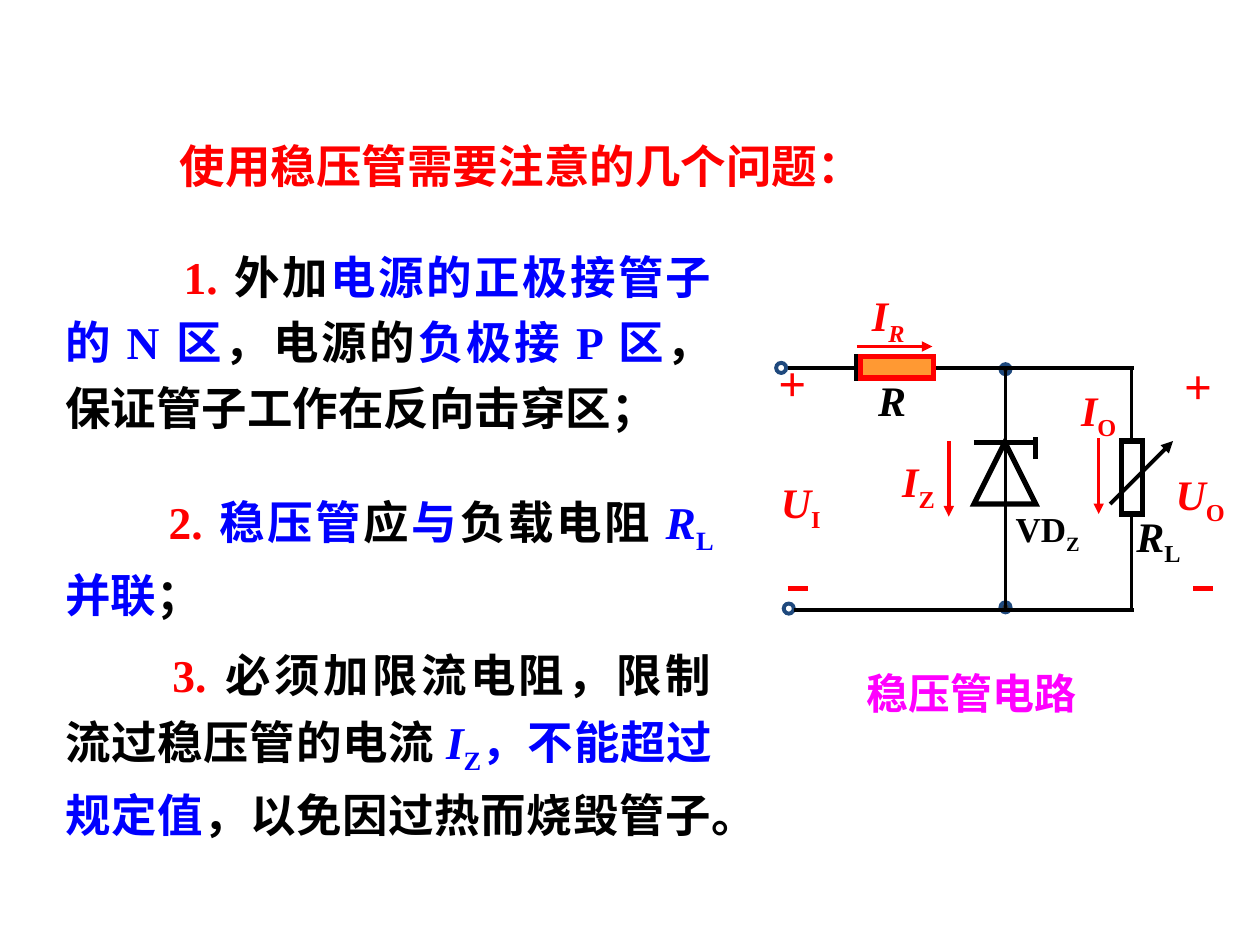
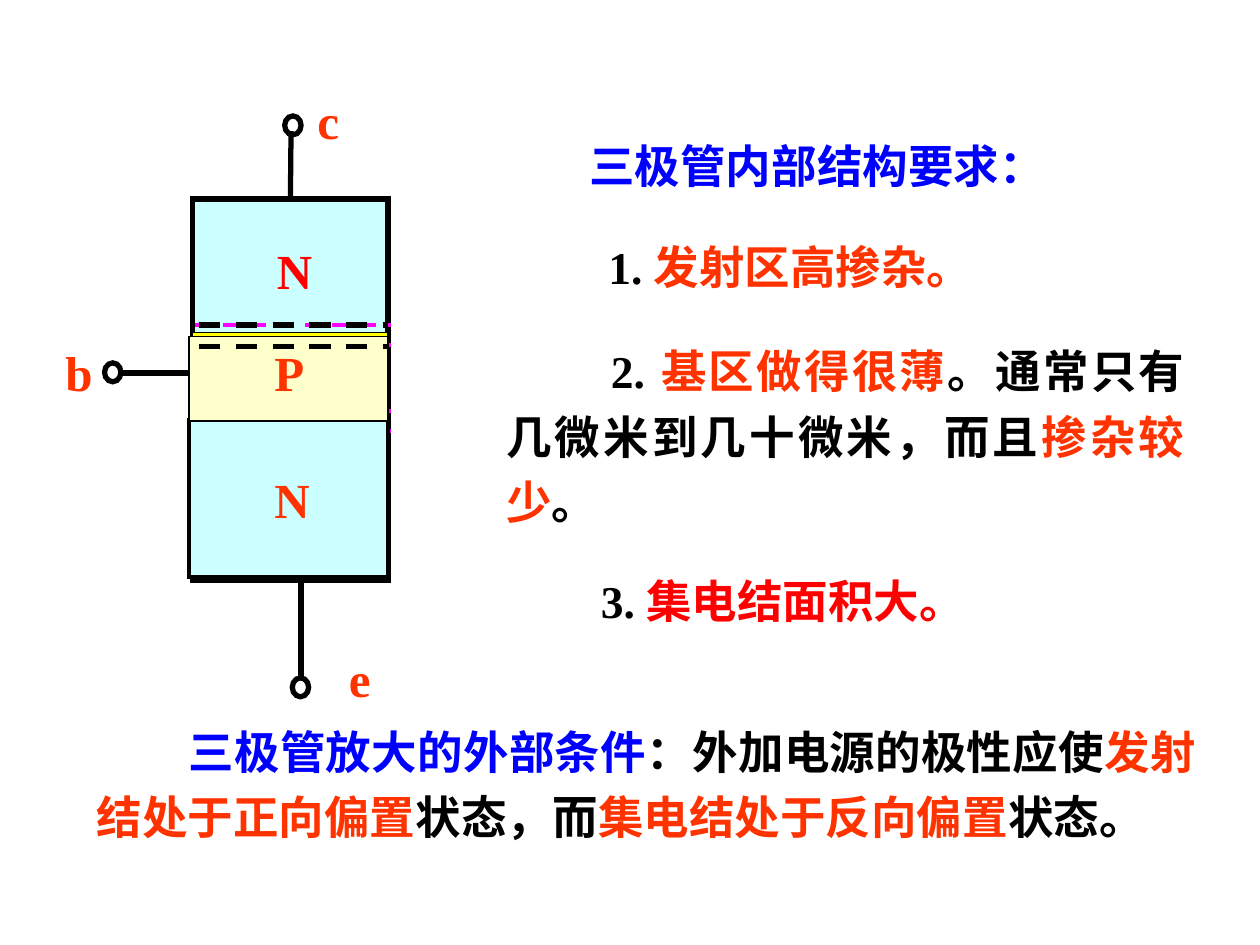
import pptx
import pptx.dml.color
import pptx.enum.dml
import pptx.enum.lang
import pptx.enum.shapes
import pptx.enum.text
import pptx.oxml
import pptx.oxml.ns
import pptx.util
from dataclasses import dataclass

Inches, Pt = pptx.util.Inches, pptx.util.Pt
Align = pptx.enum.text.PP_ALIGN
Shape = pptx.enum.shapes.MSO_SHAPE


@dataclass(frozen=True)
class Theme:
    font: str = "Times New Roman"
    black: str = "000000"
    white: str = "FFFFFF"
    red: str = "FF0000"
    vermilion: str = "FF3300"
    blue: str = "0000FF"
    magenta: str = "FF00FF"
    navy: str = "1F497D"
    charcoal: str = "333333"
    orange: str = "FF9933"
    cyan: str = "CCFFFF"
    yellow: str = "FFFF00"
    cream: str = "FFFFCC"
    body: int = 26
    label: int = 24
    sign: int = 28
    small: int = 20


T = Theme()

# Passages: place, first-line indent, line spacing, runs (text, colour, marks)
# Marks: i italic, s subscript
REGULATOR_TEXT = [
    ((1.33, 1.05, 6.83, 0.54), 0, 1, [("使用稳压管需要注意的几个问题：", T.red)]),
    ((0.42, 1.84, 5.33, 1.66), 0.94, 1.2, [
        ("1. ", T.red), ("外加", T.black), ("电源的正极接管子的 N 区", T.blue),
        ("，电源的", T.black), ("负极接 P 区", T.blue),
        ("，保证管子工作在反向击穿区；", T.black)]),
    ((0.42, 3.77, 5.33, 1.21), 0.82, 1.2, [
        ("2. ", T.red), ("稳压管", T.blue), ("应", T.black), ("与", T.blue),
        ("负载电阻 ", T.black), ("R", T.blue, "i"), ("L ", T.blue, "s"),
        ("并联", T.blue), ("；", T.black)]),
    ((0.42, 5, 5.33, 2.25), 0.85, 1.2, [
        ("3. ", T.red), ("必须加限流电阻，限制流过稳压管的电流 ", T.black),
        ("I", T.blue, "i"), ("Z", T.blue, "s"), ("，不能超过规定值", T.blue),
        ("，以免因过热而烧毁管子。", T.black)]),
]
TRANSISTOR_TEXT = [
    ((4.58, 1.05, 4.25, 0.54), 0, 1, [("三极管内部结构要求：", T.blue)]),
    ((3.92, 1.85, 5.5, 0.54), 0.81, 1,
     [("1. ", T.black), ("发射区高掺杂。", T.vermilion)]),
    ((3.92, 2.59, 5.58, 1.66), 0.83, 1.2, [
        ("2. ", T.black), ("基区做得很薄", T.vermilion),
        ("。通常只有几微米到几十微米，而且", T.black),
        ("掺杂较少", T.vermilion), ("。", T.black)]),
    ((4.67, 4.5, 3.5, 0.54), 0, 1, [("3. ", T.black), ("集电结面积大。", T.red)]),
    ((0.67, 5.61, 8.92, 1.14), 0.73, 1.2, [
        ("三极管放大的外部条件", T.blue), ("：外加电源的极性应使", T.black),
        ("发射结处于正向偏置", T.vermilion), ("状态，而", T.black),
        ("集电结处于反向偏置", T.vermilion), ("状态。", T.black)]),
]

# Regulator circuit
TOP_RAIL, BOTTOM_RAIL, DIODE_X, LOAD_X = 2.92, 4.84, 7.98, 8.98
DOT = 0.08
TERMINALS = [(6.16, 2.88), (6.22, 4.79)]
NODES = [(7.94, 2.89), (7.94, 4.78)]
WIRES = [  # from, to, width
    ((6.25, TOP_RAIL), (8, TOP_RAIL), 2),
    ((6.3, BOTTOM_RAIL), (8, BOTTOM_RAIL), 2),
    ((DIODE_X, TOP_RAIL), (DIODE_X, BOTTOM_RAIL), 2),
    ((LOAD_X, TOP_RAIL), (LOAD_X, BOTTOM_RAIL), 2),
    ((7.91, TOP_RAIL), (9, TOP_RAIL), 2.25),
    ((7.91, BOTTOM_RAIL), (9, BOTTOM_RAIL), 2.25),
    ((7.73, 3.51), (8.22, 3.51), 3),
    ((8.22, 3.64), (8.22, 3.47), 3),
]
COMPONENTS = [  # preset, place, fill, line
    (Shape.ISOSCELES_TRIANGLE, (7.73, 3.51, 0.49, 0.49), None, T.black),
    (Shape.RECTANGLE, (6.8, 2.83, 0.58, 0.17), T.white, T.black),
    (Shape.RECTANGLE, (6.83, 2.83, 0.58, 0.17), T.orange, T.red),
    (Shape.RECTANGLE, (8.9, 3.5, 0.17, 0.58), T.white, T.black),
]
CURRENT_ARROWS = [((6.8, 2.75), (7.4, 2.75)), ((7.53, 3.5), (7.53, 4.1)),
                  ((8.72, 3.48), (8.72, 4.08))]
MINUS_SIGNS = [(6.25, 4.67), (9.47, 4.67)]
PLUS_SIGNS = [(6.08, 2.75), (9.3, 2.77)]
SYMBOLS = [  # place, letter, subscript, colour, letter marks, subscript marks, size
    ((7.96, 3.98, 0.71, 0.48), "VD", "Z", T.black, "", "s", T.small),
    ((6.87, 2.92, 0.42, 0.5), "R", "", T.black, "i", "s", T.label),
    ((8.92, 4, 0.55, 0.56), "R", "L", T.black, "i", "s", T.label),
    ((9.23, 3.67, 0.59, 0.56), "U", "O", T.red, "i", "s", T.label),
    ((8.48, 3, 0.48, 0.56), "I", "O", T.red, "i", "s", T.label),
    ((7.06, 3.57, 0.46, 0.56), "I", "Z", T.red, "i", "s", T.label),
    ((6.82, 2.25, 0.46, 0.56), "I", "R", T.red, "i", "is", T.label),
    ((6.1, 3.73, 0.51, 0.56), "U", "I", T.red, "i", "s", T.label),
]
CAPTION = ((5.92, 5.25, 3.58, 0.5), "稳压管电路")

# Transistor structure
BODY = (1.53, 1.58, 1.55, 3.03)
LAYERS = [  # place, fill, line width
    ((1.53, 2.64, 1.55, 0.68), T.yellow, 0.75),
    ((1.5, 3.33, 1.58, 1.25), T.cyan, 2.25),
    ((1.5, 2.67, 1.58, 0.67), T.cream, 0.75),
]
COLLECTOR_LEAD = ((2.31, 1.04), (2.31, 1.58))
OTHER_LEADS = [((2.39, 4.62), (2.39, 5.38)), ((1.55, 2.96), (0.96, 2.96))]
PINS = [(0.83, 2.88), (2.26, 0.92), (2.32, 5.38)]
JUNCTIONS = [2.66, 3.34]
HALO = 0.08  # depletion edge on each side of a junction
BASE_DASHES = [2.58, 2.75]
REGION_LABELS = [
    ((2.1, 1.86), "N", T.red), ((2.08, 3.68), "N", T.vermilion),
    ((2.08, 2.67), "P", T.vermilion), ((2.67, 5.1), "e", T.vermilion),
    ((0.42, 2.67), "b", T.vermilion), ((2.42, 0.67), "c", T.vermilion),
]


def rgb(colour):
    return pptx.dml.color.RGBColor.from_string(colour)


def drawing_element(tag, attributes=""):
    return pptx.oxml.parse_xml(
        f'<a:{tag} {pptx.oxml.ns.nsdecls("a")} {attributes}/>')


def add_text(page, place, spans, size, align=Align.LEFT, indent=0, spacing=1, wrap=True):
    box = page.shapes.add_textbox(*map(Inches, place))
    frame = box.text_frame
    frame.word_wrap = wrap
    if not wrap:  # symbols use the full box width, so a subscript stays on its line
        frame.margin_left = frame.margin_right = 0
    para = frame.paragraphs[0]
    para.alignment = align
    para.line_spacing = spacing
    if indent:
        para._p.get_or_add_pPr().set("indent", str(Inches(indent)))
    for text, colour, *marks in spans:
        marks = "".join(marks)
        span = para.add_run()
        span.text = text
        formats = {"name": T.font, "size": Pt(size), "bold": True, "italic": "i" in marks,
                   "language_id": pptx.enum.lang.MSO_LANGUAGE_ID.SIMPLIFIED_CHINESE}
        for name, value in formats.items():
            setattr(span.font, name, value)
        span.font.color.rgb = rgb(colour)
        if "s" in marks:
            span._r.get_or_add_rPr().set("baseline", "-25000")


def add_shape(page, preset, place, fill, line, width):
    shape = page.shapes.add_shape(preset, *map(Inches, place))
    shape.shadow.inherit = False
    if fill:
        shape.fill.solid()
        shape.fill.fore_color.rgb = rgb(fill)
    else:
        shape.fill.background()
    shape.line.color.rgb = rgb(line)
    shape.line.width = Pt(width)
    shape.line._get_or_add_ln().append(drawing_element("miter", 'lim="800000"'))
    return shape


def add_line(page, start, end, colour, width, dashed=False, arrow=False):
    line = page.shapes.add_connector(
        pptx.enum.shapes.MSO_CONNECTOR.STRAIGHT, *map(Inches, start + end))
    line.line.color.rgb = rgb(colour)
    line.line.width = Pt(width)
    if dashed:
        line.line.dash_style = pptx.enum.dml.MSO_LINE.DASH
    if arrow:
        line.line._get_or_add_ln().append(drawing_element("tailEnd", 'type="triangle"'))
    line._element.spPr.append(drawing_element("effectLst"))
    return line


def add_passages(page, passages):
    for place, indent, spacing, spans in passages:
        add_text(page, place, spans, T.body, Align.JUSTIFY, indent, spacing)


def build_regulator(page):
    # Terminals, nodes and wires
    for dots, fill in ((TERMINALS, None), (NODES, T.charcoal)):
        for left, top in dots:
            add_shape(page, Shape.OVAL, (left, top, DOT, DOT), fill, T.navy, 2.25)
    for start, end, width in WIRES:
        add_line(page, start, end, T.black, width)
    # Diode, resistor and variable load
    for preset, place, fill, line in COMPONENTS:
        add_shape(page, preset, place, fill, line, 3)
    add_line(page, (8.81, 4), (9.31, 3.5), T.black, 2.25, arrow=True)
    # Currents and polarity
    for start, end in CURRENT_ARROWS:
        add_line(page, start, end, T.red, 2, arrow=True)
    for left, top in MINUS_SIGNS:
        add_line(page, (left, top), (left + 0.16, top), T.red, 3)
    for left, top in PLUS_SIGNS:
        add_text(page, (left, top, 0.42, 0.57), [("+", T.red)], T.sign)
    # Symbols and caption
    for place, letter, sub, colour, marks, sub_marks, size in SYMBOLS:
        spans = [(letter, colour, marks)]
        if sub:
            spans.append((sub, colour, sub_marks))
        add_text(page, place, spans, size, Align.CENTER, wrap=False)
    place, caption = CAPTION
    add_text(page, place, [(caption, T.magenta)], T.label, Align.CENTER)
    add_passages(page, REGULATOR_TEXT)


def build_transistor(page):
    # Body, junctions and leads
    body = add_shape(page, Shape.RECTANGLE, BODY, T.cyan, T.black, 3)
    for y in JUNCTIONS:
        add_line(page, (1.55, y), (3.1, y), T.black, 2.25)
        for edge in (y - HALO, y + HALO):
            add_line(page, (1.55, edge), (3.1, edge), T.magenta, 2.25, dashed=True)
    add_line(page, *COLLECTOR_LEAD, T.black, 3).end_connect(body, 0)
    for start, end in OTHER_LEADS:
        add_line(page, start, end, T.black, 3)
    for left, top in PINS:
        add_shape(page, Shape.OVAL, (left, top, 0.13, 0.15), None, T.black, 3)
    # Layers and region labels
    for place, fill, width in LAYERS:
        add_shape(page, Shape.RECTANGLE, place, fill, T.black, width)
    for y in BASE_DASHES:
        add_line(page, (1.58, y), (3.08, y), T.black, 3, dashed=True)
    for (left, top), letter, colour in REGION_LABELS:
        add_text(page, (left, top, 0.67, 0.57), [(letter, colour)], T.sign)
    add_passages(page, TRANSISTOR_TEXT)


def main():
    deck = pptx.Presentation()
    deck.slide_width, deck.slide_height = Inches(10), Inches(7.5)
    for build in (build_regulator, build_transistor):
        build(deck.slides.add_slide(deck.slide_layouts[6]))
    deck.save("out.pptx")


if __name__ == "__main__":
    main()
